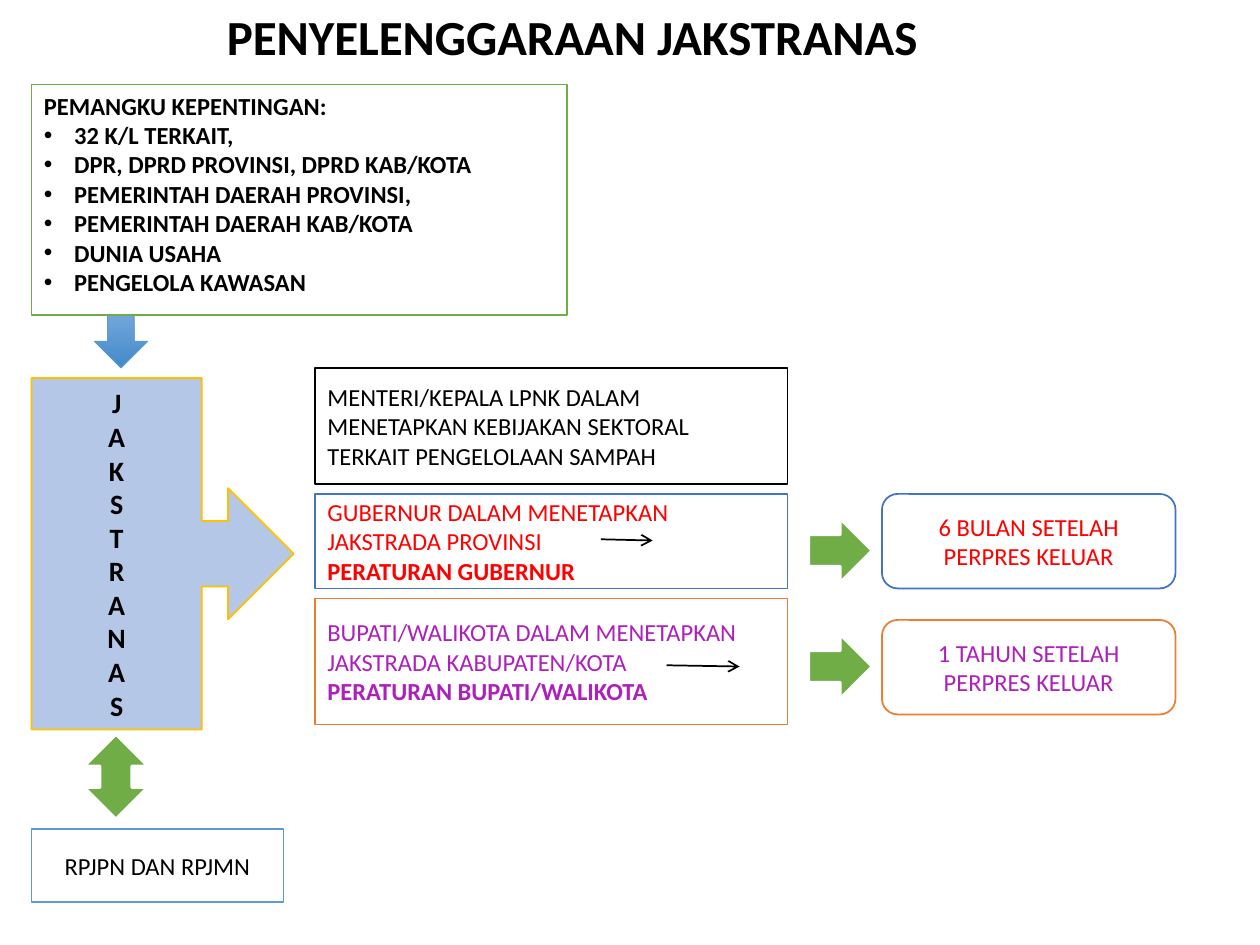
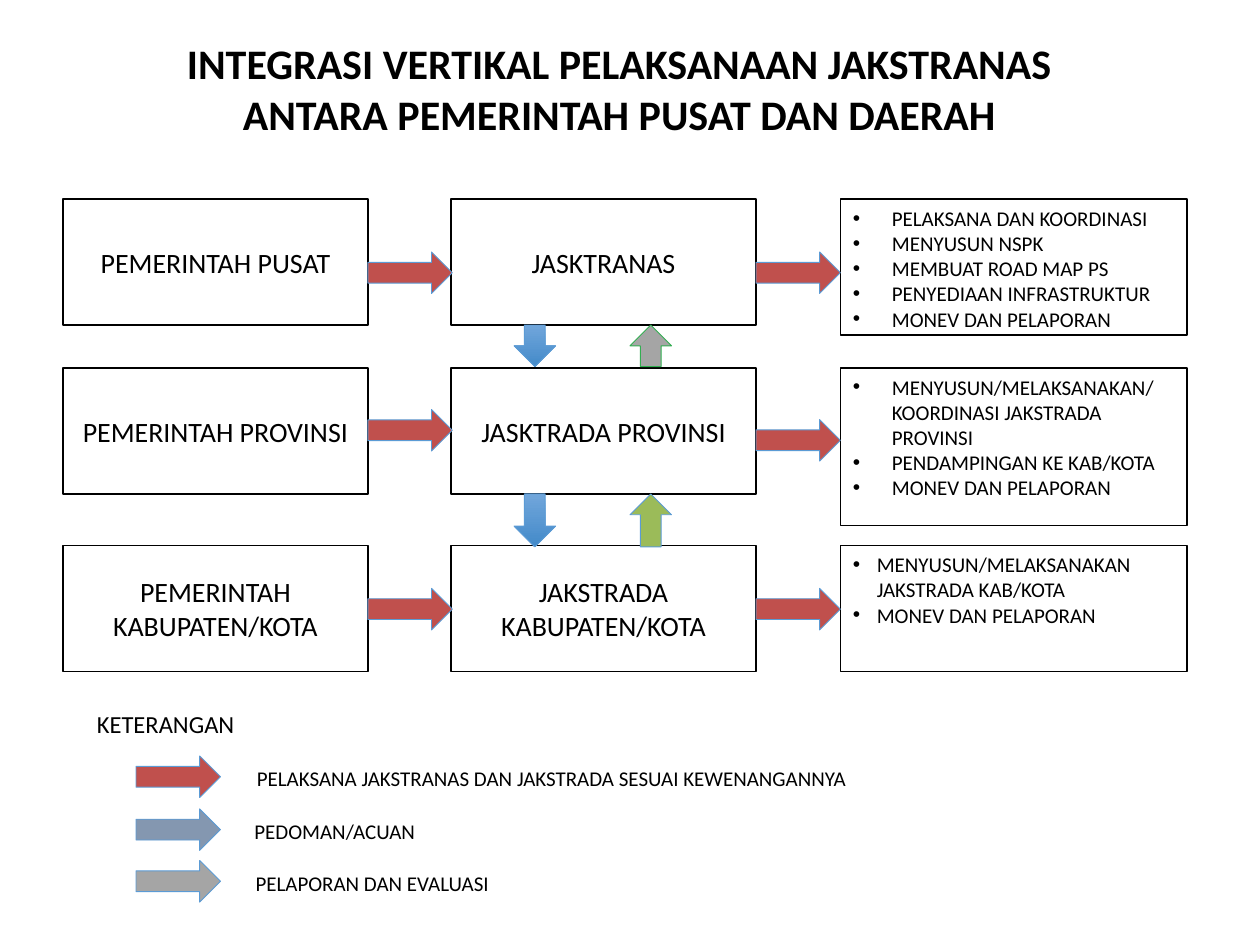
from dataclasses import dataclass

from lxml import etree
from pptx import Presentation
from pptx import util as u
from pptx.dml.color import RGBColor
from pptx.enum import shapes, text
from pptx.oxml import ns

SHAPE = shapes.MSO_SHAPE
LEFT, CENTER = text.PP_ALIGN.LEFT, text.PP_ALIGN.CENTER
TOP, MIDDLE = text.MSO_ANCHOR.TOP, text.MSO_ANCHOR.MIDDLE


@dataclass(frozen=True)
class Theme:
    font: str = "Calibri"
    title_large: int = 28
    title_small: int = 24
    large: int = 16
    body: int = 14
    small: int = 12
    black: str = "000000"
    white: str = "FFFFFF"
    red: str = "FF0000"
    purple: str = "AE20BB"
    blue: str = "4472C4"
    sky: str = "5B9BD5"
    pale_blue: str = "B4C7E7"
    slate: str = "8497B0"
    orange: str = "ED7D31"
    gold: str = "FFC000"
    green: str = "70AD47"
    olive: str = "9BBB59"
    emerald: str = "32AE51"
    brick: str = "C0504D"
    gray: str = "A5A5A5"
    gradient: tuple = ("71A6DB", "438AC9")


THEME = Theme()


def rgb(value):
    return RGBColor.from_string(value)


def inches(*lengths):
    return [u.Inches(length) for length in lengths]


def add_bullet(paragraph, hang):
    props = paragraph._p.get_or_add_pPr()
    props.set("marL", str(u.Inches(hang)))
    props.set("indent", str(-u.Inches(hang)))
    color = etree.SubElement(props, ns.qn("a:buClr"))
    etree.SubElement(color, ns.qn("a:srgbClr"), val=THEME.black)
    etree.SubElement(props, ns.qn("a:buFont"), typeface="Arial")
    etree.SubElement(props, ns.qn("a:buChar"), char="•")


def write(frame, lines, size, color=THEME.black, bold=False, align=CENTER,
          anchor=MIDDLE, wrap=True):
    frame.text = "\n".join(lines)
    frame.word_wrap = wrap
    frame.auto_size = text.MSO_AUTO_SIZE.NONE
    frame.vertical_anchor = anchor
    for paragraph in frame.paragraphs:
        paragraph.alignment = align
        for run in paragraph.runs:
            run.font.name = THEME.font
            run.font.size = u.Pt(size)
            run.font.bold = bold
            run.font.color.rgb = rgb(color)


def add_titled_slide(deck, place, lines, size, align):
    slide = deck.slides.add_slide(deck.slide_layouts[5])
    title = slide.shapes.title
    title.left, title.top, title.width, title.height = inches(*place)
    write(title.text_frame, lines, size, bold=True, align=align, anchor=TOP, wrap=False)
    return slide


def add_figure(slide, kind, place, fill, line, weight):
    figure = slide.shapes.add_shape(kind, *inches(*place))
    figure.shadow.inherit = False
    if isinstance(fill, tuple):
        figure.fill.gradient()
        figure.fill.gradient_angle = 270
        for stop, color in zip(figure.fill.gradient_stops, fill):
            stop.color.rgb = rgb(color)
    else:
        figure.fill.solid()
        figure.fill.fore_color.rgb = rgb(fill)
    figure.line.color.rgb = rgb(line)
    figure.line.width = u.Pt(weight)
    return figure


def add_box(slide, place, lines, size, line=THEME.black, kind=SHAPE.RECTANGLE,
            fill=THEME.white, **style):
    box = add_figure(slide, kind, place, fill, line, 1)
    write(box.text_frame, lines, size, **style)
    return box.text_frame


def add_arrow(slide, kind, place, fill, line=THEME.sky, weight=0.5):
    return add_figure(slide, kind, place, fill, line, weight)


def add_label(slide, place, wording, size):
    label = slide.shapes.add_textbox(*inches(*place))
    write(label.text_frame, [wording], size, align=LEFT, anchor=TOP, wrap=False)


def add_thin_arrow(slide, start, end):
    pointer = slide.shapes.add_connector(
        shapes.MSO_CONNECTOR.STRAIGHT, *inches(*start, *end))
    pointer.line.color.rgb = rgb(THEME.black)
    pointer.line.width = u.Pt(1)
    props = pointer._element.spPr
    etree.SubElement(pointer.line._get_or_add_ln(), ns.qn("a:tailEnd"), type="arrow")
    etree.SubElement(props, ns.qn("a:effectLst"))


def build_implementation(deck):
    slide = add_titled_slide(deck, (1.7, 0, 5.69, 0.57),
                             ["PENYELENGGARAAN JAKSTRANAS"], THEME.title_large, LEFT)
    add_box(slide, (2.5, 2.92, 3.75, 0.92),
            ["MENTERI/KEPALA LPNK DALAM MENETAPKAN KEBIJAKAN SEKTORAL "
             "TERKAIT PENGELOLAAN SAMPAH"], THEME.body, align=LEFT)

    regulations = [
        (3.92, 0.75, THEME.blue, THEME.red,
         ["GUBERNUR DALAM MENETAPKAN JAKSTRADA PROVINSI", "PERATURAN GUBERNUR"],
         3.92, "6 BULAN SETELAH PERPRES KELUAR", 4.12),
        (4.75, 1, THEME.orange, THEME.purple,
         ["BUPATI/WALIKOTA DALAM MENETAPKAN JAKSTRADA KABUPATEN/KOTA",
          "PERATURAN BUPATI/WALIKOTA"],
         4.92, "1 TAHUN SETELAH PERPRES KELUAR", 5.04),
    ]
    for top, height, line, color, duty, deadline_top, deadline, arrow_top in regulations:
        regulation = add_box(slide, (2.5, top, 3.75, height), duty, THEME.body, line,
                             color=color, align=LEFT)
        regulation.paragraphs[-1].runs[0].font.bold = True
        add_arrow(slide, SHAPE.RIGHT_ARROW, (6.42, arrow_top, 0.5, 0.5),
                  THEME.green, THEME.white, 1.5)
        add_box(slide, (7, deadline_top, 2.33, 0.75), [deadline], THEME.body, line,
                SHAPE.ROUNDED_RECTANGLE, color=color)

    add_box(slide, (0.25, 3, 2.08, 2.79), list("JAKSTRANAS"), THEME.large, THEME.gold,
            SHAPE.RIGHT_ARROW_CALLOUT, THEME.pale_blue, bold=True)
    add_arrow(slide, SHAPE.UP_DOWN_ARROW, (0.67, 5.83, 0.5, 0.67),
              THEME.green, THEME.white, 1.5)
    add_box(slide, (0.25, 6.58, 2, 0.58), ["RPJPN DAN RPJMN"], THEME.body, THEME.sky)
    add_arrow(slide, SHAPE.DOWN_ARROW, (0.75, 2.5, 0.42, 0.42), THEME.gradient)

    stakeholders = add_box(
        slide, (0.25, 0.67, 4.25, 1.83),
        ["PEMANGKU KEPENTINGAN:", "32 K/L TERKAIT,",
         "DPR, DPRD PROVINSI, DPRD KAB/KOTA", "PEMERINTAH DAERAH PROVINSI,",
         "PEMERINTAH DAERAH KAB/KOTA", "DUNIA USAHA", "PENGELOLA KAWASAN"],
        THEME.body, THEME.green, bold=True, align=LEFT, anchor=TOP)
    for stakeholder in stakeholders.paragraphs[1:]:
        add_bullet(stakeholder, 0.24)

    add_thin_arrow(slide, (4.77, 4.28), (5.18, 4.29))
    add_thin_arrow(slide, (5.29, 5.28), (5.87, 5.29))


def build_integration(deck):
    slide = add_titled_slide(deck, (1.37, 0.25, 7.09, 0.9),
                             ["INTEGRASI VERTIKAL PELAKSANAAN JAKSTRANAS",
                              "ANTARA PEMERINTAH PUSAT DAN DAERAH"],
                             THEME.title_small, CENTER)
    levels = [
        (1.58, "PEMERINTAH PUSAT", "JASKTRANAS", (2, 2), 1.08, 0.31,
         ["PELAKSANA DAN KOORDINASI", "MENYUSUN NSPK", "MEMBUAT ROAD MAP PS",
          "PENYEDIAAN INFRASTRUKTUR", "MONEV DAN PELAPORAN"]),
        (2.92, "PEMERINTAH PROVINSI", "JASKTRADA PROVINSI", (3.25, 3.33), 1.25, 0.31,
         ["MENYUSUN/MELAKSANAKAN/KOORDINASI JAKSTRADA PROVINSI",
          "PENDAMPINGAN KE KAB/KOTA", "MONEV DAN PELAPORAN"]),
        (4.33, "PEMERINTAH KABUPATEN/KOTA", "JAKSTRADA KABUPATEN/KOTA", (4.67, 4.67),
         1, 0.19,
         ["MENYUSUN/MELAKSANAKAN JAKSTRADA KAB/KOTA", "MONEV DAN PELAPORAN"]),
    ]
    for top, government, policy, arrow_tops, height, hang, duties in levels:
        for left, wording in ((0.5, government), (3.58, policy)):
            add_box(slide, (left, top, 2.42, 1), [wording], THEME.large)
        duty_list = add_box(slide, (6.67, top, 2.75, height), duties, THEME.small,
                            align=LEFT, anchor=TOP)
        for duty in duty_list.paragraphs:
            add_bullet(duty, hang)
        for left, arrow_top in zip((2.92, 6), arrow_tops):
            add_arrow(slide, SHAPE.RIGHT_ARROW, (left, arrow_top, 0.67, 0.33), THEME.brick)

    for top, height, report_fill, report_line in (
            (2.58, 0.33, THEME.gray, THEME.emerald),
            (3.92, 0.42, THEME.olive, THEME.sky)):
        add_arrow(slide, SHAPE.DOWN_ARROW, (4.08, top, 0.33, height), THEME.gradient)
        add_arrow(slide, SHAPE.UP_ARROW, (5, top, 0.33, height), report_fill, report_line)

    add_label(slide, (0.67, 5.58, 1.29, 0.34), "KETERANGAN", THEME.body)
    legend = [
        (6, THEME.brick, 1.94, 4.91,
         "PELAKSANA JAKSTRANAS DAN JAKSTRADA SESUAI KEWENANGANNYA"),
        (6.42, THEME.slate, 1.92, 1.49, "PEDOMAN/ACUAN"),
        (6.83, THEME.gray, 1.93, 2.07, "PELAPORAN DAN EVALUASI"),
    ]
    for top, fill, left, width, meaning in legend:
        add_arrow(slide, SHAPE.RIGHT_ARROW, (1.08, top, 0.67, 0.33), fill)
        add_label(slide, (left, top + 0.03, width, 0.3), meaning, THEME.small)


def main():
    deck = Presentation()
    deck.slide_width, deck.slide_height = inches(10, 7.5)
    build_implementation(deck)
    build_integration(deck)
    deck.save("out.pptx")


if __name__ == "__main__":
    main()
